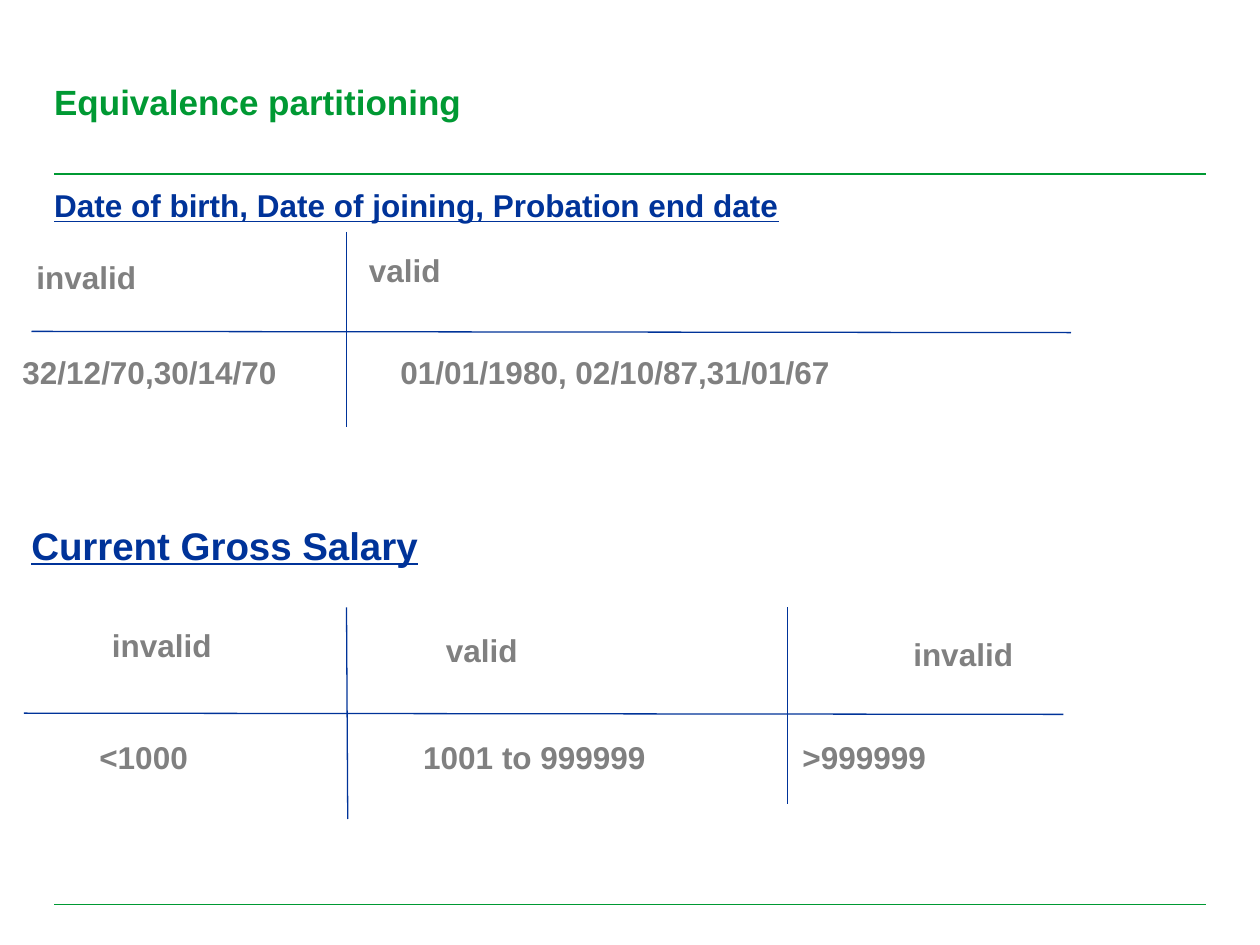
from dataclasses import dataclass

from lxml.etree import SubElement
from pptx import Presentation
from pptx.dml.color import RGBColor
from pptx.enum.shapes import MSO_CONNECTOR
from pptx.oxml.ns import qn
from pptx.slide import Slide
from pptx.util import Inches, Pt

GREEN, BLUE, GRAY = "009933", "003399", "808080"
BASE = {"name": "Arial", "bold": True}
TITLE = BASE | {"size": Pt(20)}
BODY = BASE | {"size": Pt(18)}
TOPIC = BODY | {"underline": True}
LARGE = TOPIC | {"size": Pt(22)}


@dataclass
class Label:
    text: str
    left: float
    top: float
    width: float
    height: float = 0.4
    color: str = GRAY
    style: dict = None
    inset: bool = True
    tabs: tuple = ()


@dataclass
class Rule:
    x1: float
    y1: float
    x2: float
    y2: float
    color: str = BLUE


RULES = [
    Rule(0.43, 1.38, 9.57, 1.38, GREEN),
    Rule(0.43, 7.18, 9.57, 7.18, GREEN),
    Rule(0.25, 2.63, 8.5, 2.64),
    Rule(2.75, 1.84, 2.75, 3.39),
    Rule(0.19, 5.66, 8.44, 5.67),
    Rule(2.75, 4.82, 2.76, 6.5),
    Rule(6.25, 4.82, 6.25, 6.38),
]

LABELS = [
    Label("Equivalence partitioning", 0.43, 0.64, 8.14, 0.33, GREEN, TITLE, False),
    Label("Date of birth, Date of joining, Probation end date",
          0.43, 1.48, 8.11, 0.27, BLUE, TOPIC, False),
    Label("valid", 2.83, 1.94, 2.17),
    Label("invalid", 0.19, 2, 1.58),
    Label("32/12/70,30/14/70\t01/01/1980, 02/10/87,31/01/67",
          0.08, 2.75, 8.25, tabs=(3,)),
    Label("Current Gross Salary", 0.15, 4.09, 4.85, 0.44, BLUE, LARGE),
    Label("valid", 3.44, 4.96, 2.17),
    Label("invalid", 0.79, 4.92, 1.58),
    Label("invalid", 7.15, 4.99, 1.79),
    Label("<1000\t1001 to 999999\t>999999",
          0.69, 5.81, 8.25, tabs=(2.57, 5.58)),
]


def paint(color: str) -> RGBColor:
    return RGBColor.from_string(color)


def draw_rule(slide: Slide, rule: Rule) -> None:
    ends = map(Inches, (rule.x1, rule.y1, rule.x2, rule.y2))
    line = slide.shapes.add_connector(MSO_CONNECTOR.STRAIGHT, *ends)
    line.line.color.rgb = paint(rule.color)
    line.line.width = Pt(0.75)
    SubElement(line._element.spPr, qn("a:effectLst"))


def draw_label(slide: Slide, label: Label) -> None:
    area = map(Inches, (label.left, label.top, label.width, label.height))
    frame = slide.shapes.add_textbox(*area).text_frame
    frame.word_wrap = True
    if not label.inset:
        for side in ("left", "top", "right", "bottom"):
            setattr(frame, f"margin_{side}", Inches(0))
    para = frame.paragraphs[0]
    if label.tabs:
        stops = SubElement(para._p.get_or_add_pPr(), qn("a:tabLst"))
        for stop in label.tabs:
            SubElement(stops, qn("a:tab"), pos=str(Inches(stop)), algn="l")
    run = para.add_run()
    run.text = label.text
    for name, value in (label.style or BODY).items():
        setattr(run.font, name, value)
    run.font.color.rgb = paint(label.color)


def main() -> None:
    deck = Presentation()
    deck.slide_width, deck.slide_height = Inches(10), Inches(7.5)
    slide = deck.slides.add_slide(deck.slide_layouts[6])
    for rule in RULES:
        draw_rule(slide, rule)
    for label in LABELS:
        draw_label(slide, label)
    deck.save("out.pptx")


if __name__ == "__main__":
    main()
